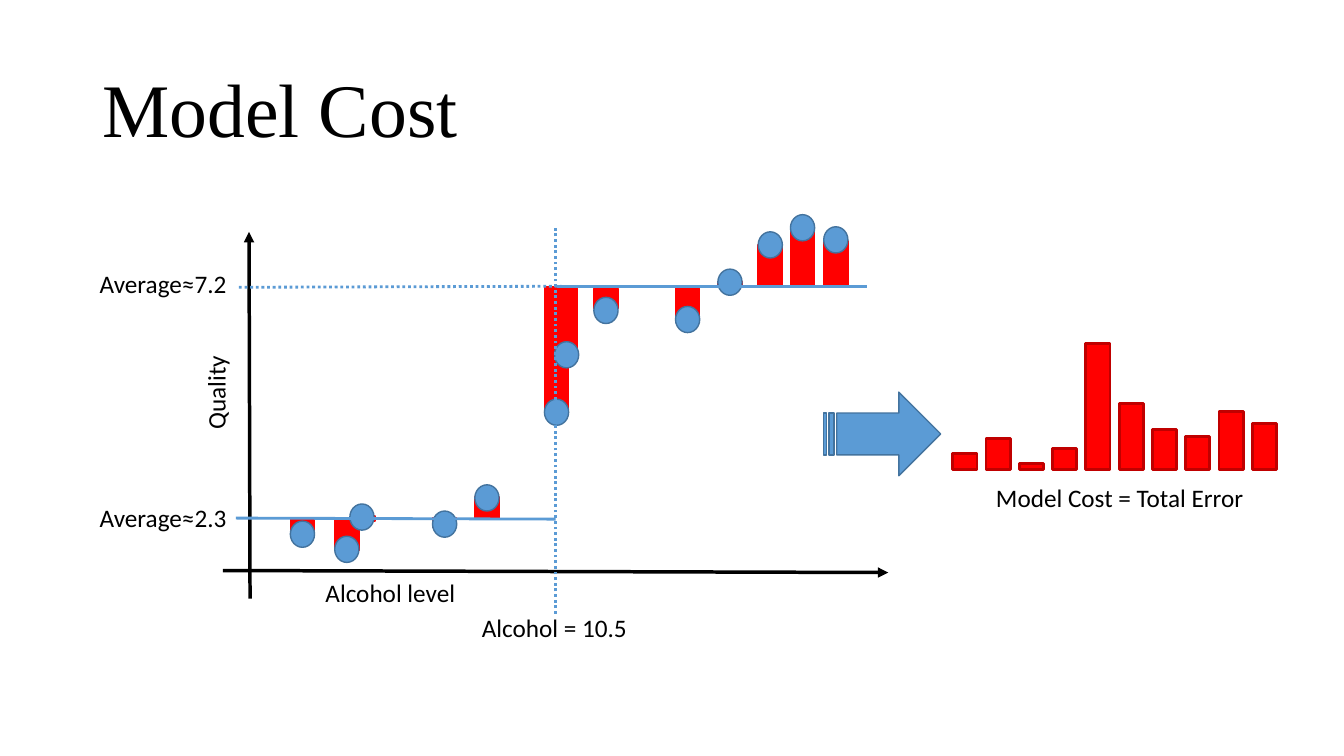
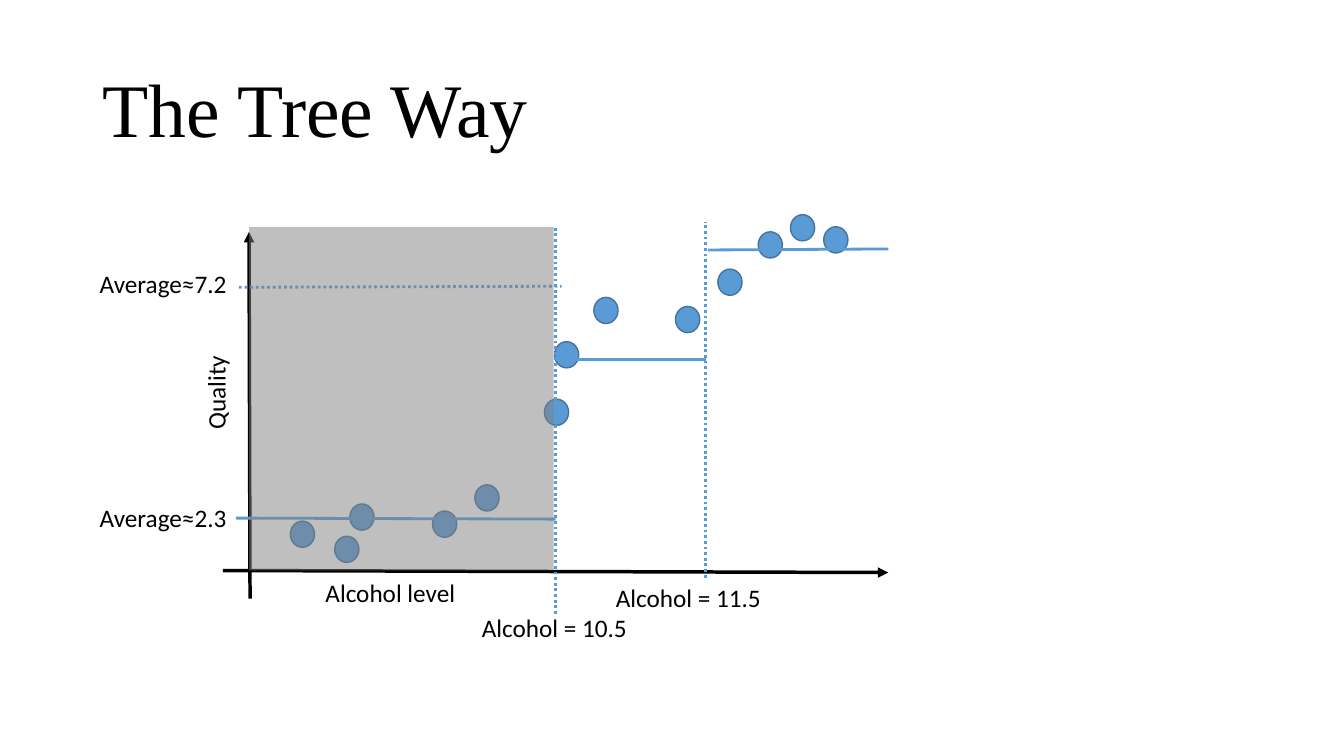
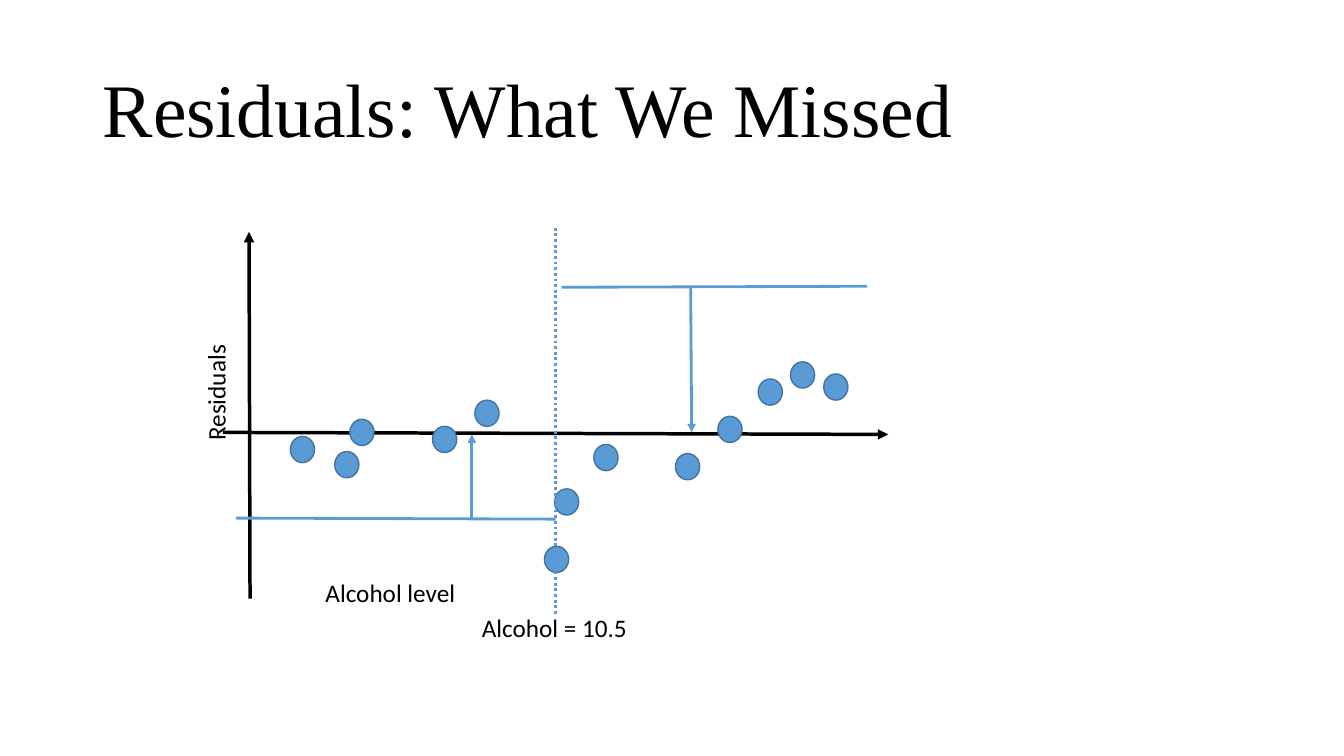
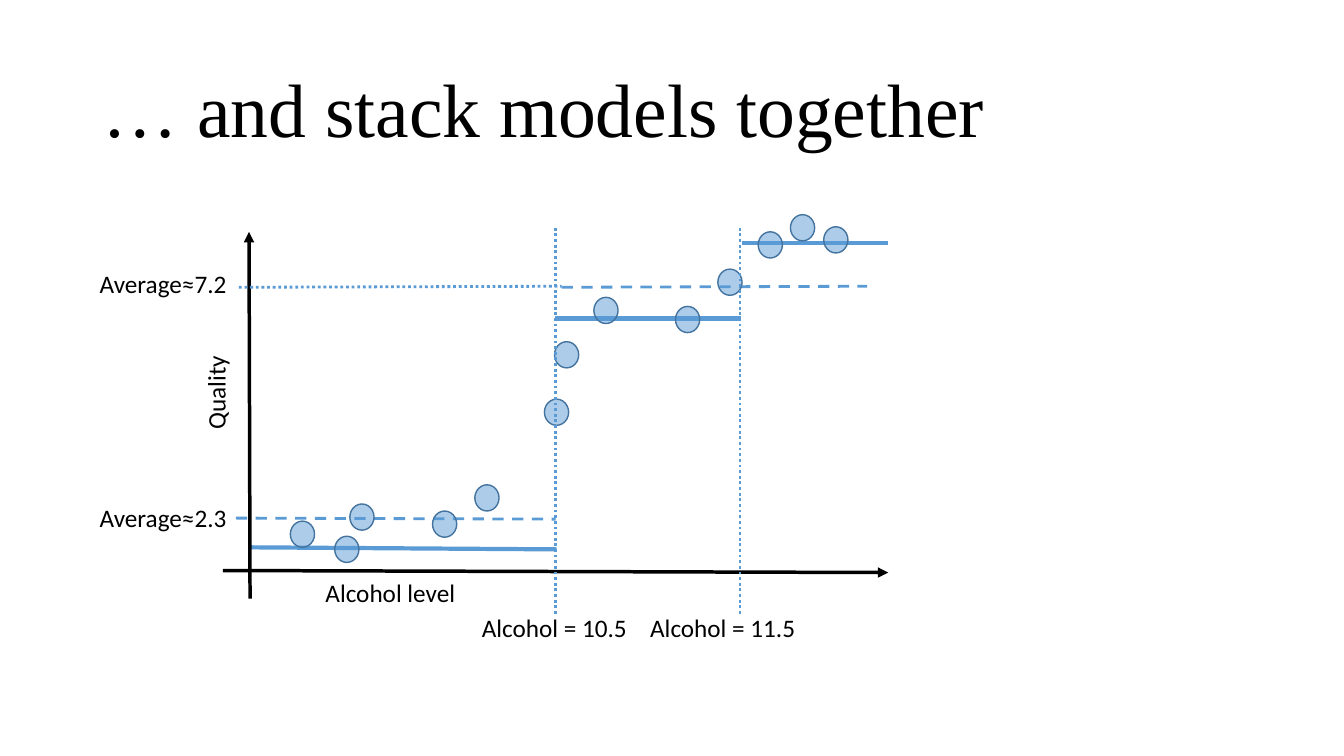
from pptx import Presentation
from pptx.dml.color import RGBColor
from pptx.enum.dml import MSO_LINE
from pptx.enum.shapes import MSO_CONNECTOR, MSO_SHAPE
from pptx.enum.text import MSO_ANCHOR, MSO_AUTO_SIZE
from pptx.oxml.ns import qn
from pptx.util import Inches, Pt
from lxml.etree import SubElement

BLACK = RGBColor(0x00, 0x00, 0x00)
BLUE = RGBColor(0x5B, 0x9B, 0xD5)
NAVY = RGBColor(0x43, 0x73, 0x9E)
RED = RGBColor(0xFF, 0x00, 0x00)
DARK = RGBColor(0xC0, 0x00, 0x00)
GRAY = RGBColor(0x80, 0x80, 0x80)
DOT, DASH = MSO_LINE.ROUND_DOT, MSO_LINE.DASH

# Data points: left, top
DOT_W, DOT_H = 0.24, 0.26
POINTS = [
    (2.88, 5.17), (3.32, 5.32), (3.47, 5), (4.29, 5.07), (4.71, 4.81),
    (5.4, 3.96), (5.5, 3.39), (5.89, 2.95), (6.7, 3.04), (7.12, 2.67),
    (7.52, 2.3), (7.84, 2.13), (8.17, 2.25),
]
SPLIT = 5.2  # points left of this belong to the low group

# Error bars on the plot: left, top, height
ERRORS = [
    (2.88, 5.15, 0.16), (3.32, 5.15, 0.31), (3.48, 5.12, 0.05),
    (4.29, 5.14, 0.09), (4.71, 4.93, 0.21), (5.4, 2.84, 1.25),
    (5.49, 2.86, 0.66), (5.89, 2.86, 0.2), (6.7, 2.86, 0.33),
    (7.12, 2.79, 0.06), (7.52, 2.43, 0.4), (7.84, 2.25, 0.58),
    (8.17, 2.39, 0.46),
]

# Cost bars standing side by side
COSTS = [0.16, 0.31, 0.06, 0.21, 1.25, 0.66, 0.4, 0.33, 0.58, 0.46]
COST_X, COST_Y, STEP = 9.45, 4.66, 0.33

# Lines: x1, y1, x2, y2, then options
LOW = (2.34, 5.14, 5.51, 5.15)
HIGH = (5.57, 2.85, 8.6, 2.84)
CUT = (5.51, 6.09, 5.51, 2.25, {"dash": DOT})
GUIDE = (2.37, 2.85, 5.57, 2.84, {"dash": DOT})

# Labels: text, left, top, width, then options
LEVEL = ("Alcohol level", 3.13, 5.68, 1.5)
CUT_TAG = ("Alcohol = 10.5", 4.68, 6.03, 1.99, {"wrap": True})
QUALITY = ("Quality", 1.67, 3.69, 0.94, {"turn": 270})
TAGS = [
    QUALITY, LEVEL, CUT_TAG,
    ("Average≈7.2", 0.89, 2.61, 1.48),
    ("Average≈2.3", 0.89, 4.93, 1.48),
]

SLIDES = [
    {"title": "Model Cost", "cost": True,
     "lines": [(5.52, 2.84, 8.6, 2.84), LOW, CUT, GUIDE],
     "tags": TAGS + [("Model Cost = Total Error", 9.78, 4.74, 2.68)]},
    {"title": "The Tree Way", "shade": (2.47, 2.25, 3.02, 3.41),
     "lines": [(7.02, 2.48, 8.81, 2.47), LOW, CUT, GUIDE,
               (5.51, 3.57, 7, 3.57),
               (7, 5.73, 7, 2.2, {"dash": DOT})],
     "tags": TAGS + [("Alcohol = 11.5", 6.01, 5.73, 1.99, {"wrap": True})]},
    {"title": "Residuals: What We Missed", "axis": 4.29,
     "shift": (-0.84, 1.46),
     "lines": [CUT, HIGH, LOW,
               (6.85, 2.85, 6.86, 4.29, {"arrow": True}),
               (4.68, 5.14, 4.68, 4.31, {"arrow": True})],
     "tags": [("Residuals", 1.56, 3.69, 1.16, {"turn": 270}),
              LEVEL, CUT_TAG]},
    {"title": "… and stack models together", "alpha": 50,
     "back": [(7.36, 2.41, 8.81, 2.41, {"width": 3}),
              (5.5, 3.16, 7.35, 3.16, {"width": 3}),
              (2.48, 5.43, 5.52, 5.45, {"width": 3}),
              (*HIGH, {"dash": DASH}), (*LOW, {"dash": DASH})],
     "lines": [CUT, GUIDE, (7.34, 6.09, 7.34, 2.25, {"dash": DOT})],
     "tags": TAGS + [("Alcohol = 11.5", 6.35, 6.03, 1.99, {"wrap": True})]},
]


def add_form(slide, kind, box, fill, edge=None, width=1, alpha=None):
    form = slide.shapes.add_shape(kind, *map(Inches, box))
    form.shadow.inherit = False
    form.fill.solid()
    form.fill.fore_color.rgb = fill
    if alpha:
        color = form._element.spPr.find(qn("a:solidFill"))[0]
        SubElement(color, qn("a:alpha")).set("val", str(alpha * 1000))
    if edge is None:
        form.line.fill.background()
    else:
        form.line.color.rgb = edge
        form.line.width = Pt(width)


def add_line(slide, x1, y1, x2, y2, opts=None):
    opts = opts or {}
    line = slide.shapes.add_connector(
        MSO_CONNECTOR.STRAIGHT, *map(Inches, (x1, y1, x2, y2)))
    line.line.color.rgb = opts.get("color", BLUE)
    line.line.width = Pt(opts.get("width", 2))
    if "dash" in opts:
        line.line.dash_style = opts["dash"]
    props = line._element.spPr
    if opts.get("arrow"):
        SubElement(props.find(qn("a:ln")), qn("a:tailEnd")).set(
            "type", "triangle")
    SubElement(props, qn("a:effectLst"))


def add_text(slide, text, box, font, size, wrap):
    area = slide.shapes.add_textbox(*map(Inches, box))
    area.text_frame.word_wrap = wrap
    run = area.text_frame.paragraphs[0].add_run()
    run.text = text
    run.font.name = font
    run.font.size = Pt(size)
    run.font.color.rgb = BLACK
    return area


def add_title(slide, text):
    area = add_text(slide, text, (0.92, 0.4, 11.5, 1.45),
                    "Times New Roman", 54, True)
    area.text_frame.vertical_anchor = MSO_ANCHOR.MIDDLE
    area.text_frame.paragraphs[0].line_spacing = 0.9


def add_tag(slide, text, x, y, w, opts=None):
    opts = opts or {}
    area = add_text(slide, text, (x, y, w, 0.4), "Calibri", 18,
                    opts.get("wrap", False))
    area.text_frame.auto_size = MSO_AUTO_SIZE.SHAPE_TO_FIT_TEXT
    area.rotation = opts.get("turn", 0)


def add_axes(slide, y):
    look = {"color": BLACK, "width": 2.5, "arrow": True}
    add_line(slide, 2.48, 5.94, 2.47, 2.3, look)
    add_line(slide, 2.21, y, 8.81, y + 0.02, look)


def add_points(slide, shift, alpha):
    low, high = shift
    for x, y in POINTS:
        y += low if x < SPLIT else high
        add_form(slide, MSO_SHAPE.OVAL, (x, y, DOT_W, DOT_H),
                 BLUE, NAVY, alpha=alpha)


def add_costs(slide):
    for i, high in enumerate(COSTS):
        box = (COST_X + i * STEP, COST_Y - high, DOT_W, high)
        add_form(slide, MSO_SHAPE.RECTANGLE, box, RED, DARK, 2)
    add_form(slide, MSO_SHAPE.STRIPED_RIGHT_ARROW,
             (8.17, 3.89, 1.16, 0.83), BLUE, NAVY)


def build(deck, page):
    slide = deck.slides.add_slide(deck.slide_layouts[6])
    # Behind the plot
    if page.get("cost"):
        for x, y, high in ERRORS:
            add_form(slide, MSO_SHAPE.RECTANGLE, (x, y, DOT_W, high),
                     RED, RED)
    for line in page.get("back", []):
        add_line(slide, *line)
    # Title and plot
    add_title(slide, page["title"])
    add_axes(slide, page.get("axis", 5.66))
    add_points(slide, page.get("shift", (0, 0)), page.get("alpha"))
    for line in page["lines"]:
        add_line(slide, *line)
    for tag in page["tags"]:
        add_tag(slide, *tag)
    # In front of the plot
    if "shade" in page:
        add_form(slide, MSO_SHAPE.RECTANGLE, page["shade"], GRAY, alpha=50)
    if page.get("cost"):
        add_costs(slide)


def main():
    deck = Presentation()
    deck.slide_width, deck.slide_height = Inches(13.33), Inches(7.5)
    for page in SLIDES:
        build(deck, page)
    deck.save("out.pptx")


if __name__ == "__main__":
    main()
